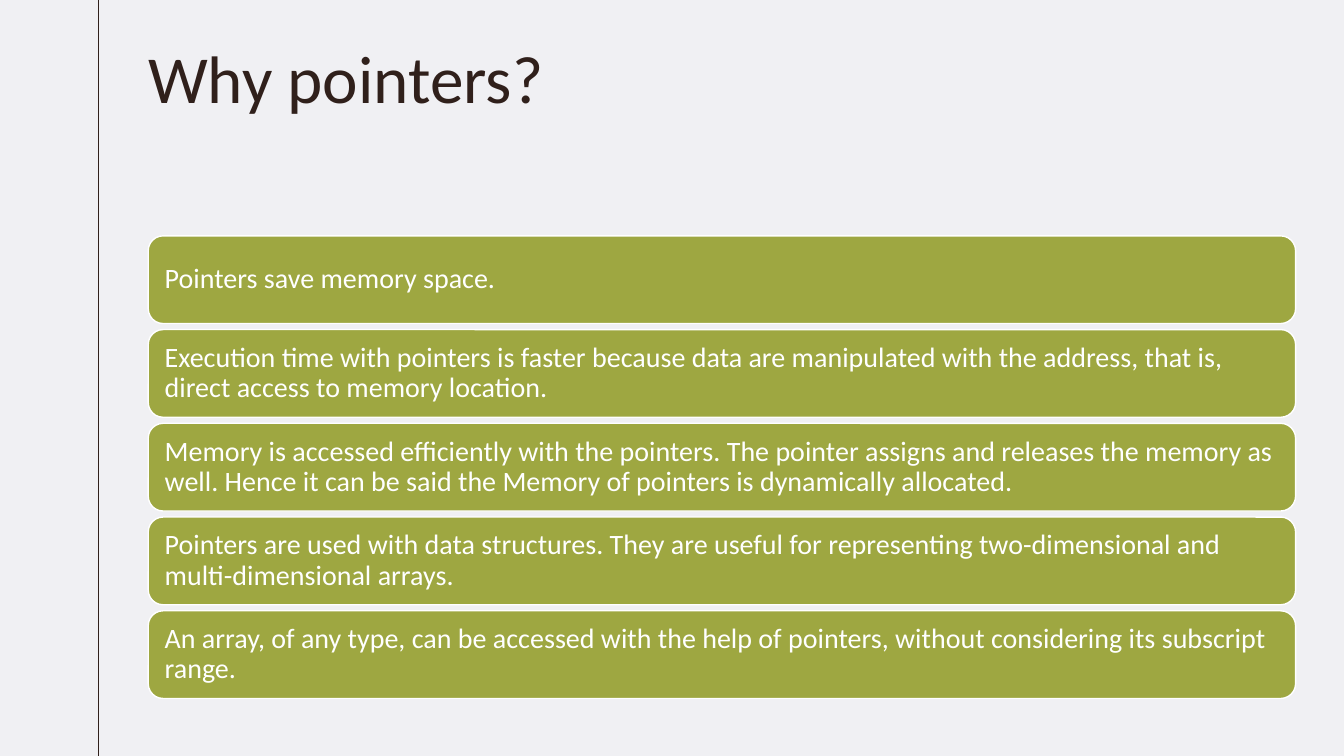
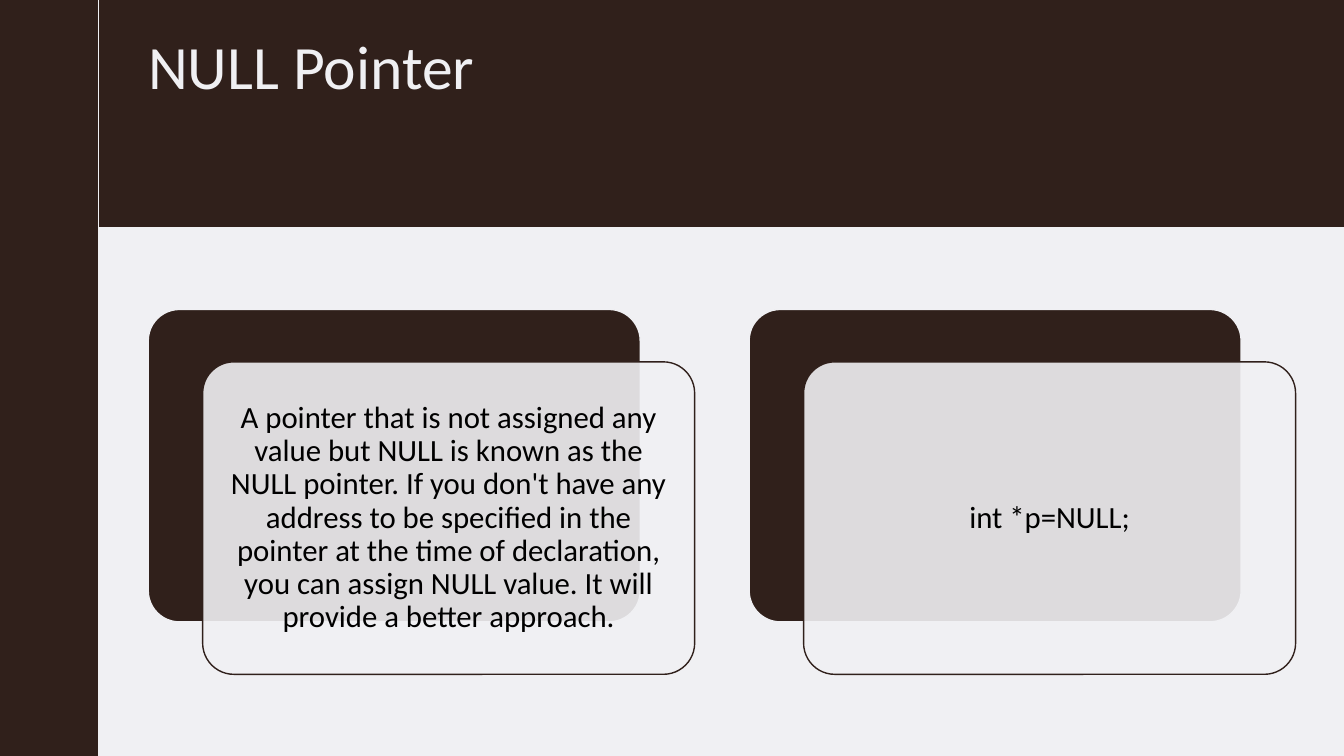
"""Build two slides on pointers: why they are used, and the NULL pointer."""
from dataclasses import dataclass

from lxml.etree import SubElement as Sub
from pptx import Presentation
from pptx.dml.color import RGBColor as Rgb
from pptx.enum.shapes import MSO_CONNECTOR as Conn, MSO_SHAPE as Kind
from pptx.enum.text import MSO_ANCHOR as Anchor, PP_ALIGN as Align
from pptx.oxml.ns import qn
from pptx.shapes.autoshape import Shape
from pptx.slide import Slide
from pptx.text.text import TextFrame as Frame
from pptx.util import Inches, Pt

HUES = {"dark": "30201B", "pale": "F0F0F3", "olive": "9EA741",
        "white": "FFFFFF", "black": "000000"}
FONT = "Calibri"
WIDE, HIGH = 13.33, 7.5
RAIL, LEFT, SPAN = 0.98, 1.47, 11.38


@dataclass(frozen=True)
class Box:
    """Hold a place on the slide in inches."""
    x: float
    y: float
    w: float
    h: float

    def spot(self) -> list[Inches]:
        """Give the four lengths in slide units."""
        return [Inches(n) for n in (self.x, self.y, self.w, self.h)]

    def shift(self, dx: float, dy: float) -> "Box":
        """Give the same box moved by an offset."""
        return Box(self.x + dx, self.y + dy, self.w, self.h)


@dataclass(frozen=True)
class Type:
    """Hold the look of a text."""
    size: int
    hue: str
    align: Align = Align.LEFT
    anchor: Anchor = Anchor.MIDDLE
    inset: float = 0
    lead: float = 0.9


@dataclass(frozen=True)
class Skin:
    """Hold the fill, outline and corner of a shape."""
    fill: str
    line: str | None = None
    curve: float | None = None
    alpha: int = 100


def tint(name: str) -> Rgb:
    """Look up a colour by name."""
    return Rgb.from_string(HUES[name])


def write(frame: Frame, text: str, style: Type) -> None:
    """Put one styled run in a text frame."""
    frame.word_wrap = True
    frame.vertical_anchor = style.anchor
    frame.margin_left = frame.margin_right = Inches(style.inset)
    frame.margin_top = frame.margin_bottom = Inches(style.inset)
    para = frame.paragraphs[0]
    para.alignment, para.line_spacing = style.align, style.lead
    run = para.add_run()
    run.text = text
    run.font.name, run.font.size = FONT, Pt(style.size)
    run.font.color.rgb = tint(style.hue)


def block(slide: Slide, box: Box, skin: Skin) -> Shape:
    """Draw a plain or rounded box."""
    kind = Kind.RECTANGLE if skin.curve is None else Kind.ROUNDED_RECTANGLE
    shape = slide.shapes.add_shape(kind, *box.spot())
    shape.shadow.inherit = False
    if skin.curve is not None:
        shape.adjustments[0] = skin.curve
    shape.fill.solid()
    shape.fill.fore_color.rgb = tint(skin.fill)
    if skin.alpha < 100:
        tone = shape.fill._xPr.find(qn("a:solidFill"))[0]
        Sub(tone, qn("a:alpha"), val=str(skin.alpha * 1000))
    if skin.line:
        shape.line.color.rgb = tint(skin.line)
        shape.line.width = Pt(1)
    else:
        shape.line.fill.background()
    return shape


def rule(slide: Slide, hue: str) -> None:
    """Draw the upright line beside the content."""
    line = slide.shapes.add_connector(
        Conn.STRAIGHT, Inches(RAIL), 0, Inches(RAIL), Inches(HIGH))
    line.line.color.rgb = tint(hue)
    line.line.width = Pt(0.75)
    Sub(line._element.spPr, qn("a:effectLst"))


def head(slide: Slide, text: str, style: Type) -> None:
    """Write the slide title."""
    box = Box(LEFT, 0.36, SPAN, 1.38)
    write(slide.shapes.add_textbox(*box.spot()).text_frame, text, style)


BAR = Skin("olive", "white", 0.17)
BACK = Skin("dark", "pale", 0.1)
CARD = Skin("pale", "dark", 0.1, 90)
BAND = Skin("dark")
ITEM = Type(20, "white", inset=0.12)
NOTE = Type(22, "black", Align.CENTER, inset=0.18)

WHYS = [
    "Pointers save memory space.",
    "Execution time with pointers is faster because data are manipulated "
    "with the address, that is, direct access to memory location.",
    "Memory is accessed efficiently with the pointers. The pointer assigns "
    "and releases the memory as well. Hence it can be said the Memory of "
    "pointers is dynamically allocated.",
    "Pointers are used with data structures. They are useful for "
    "representing two-dimensional and multi-dimensional arrays.",
    "An array, of any type, can be accessed with the help of pointers, "
    "without considering its subscript range.",
]
NULLS = [
    "A pointer that is not assigned any value but NULL is known as the NULL "
    "pointer. If you don't have any address to be specified in the pointer "
    "at the time of declaration, you can assign NULL value. It will provide "
    "a better approach.",
    "int *p=NULL;",
]


def reasons(slide: Slide) -> None:
    """Draw the stack of reasons to use pointers."""
    rule(slide, "dark")
    head(slide, "Why pointers?",
         Type(48, "dark", anchor=Anchor.TOP, lead=1.0))
    first = Box(LEFT, 2.34, SPAN, 0.87)
    for i, text in enumerate(WHYS):
        bar = block(slide, first.shift(0, i * 0.93), BAR)
        write(bar.text_frame, text, ITEM)


def null(slide: Slide) -> None:
    """Draw the NULL pointer cards under a dark band."""
    block(slide, Box(0, 0, RAIL, HIGH), BAND)
    block(slide, Box(RAIL, 0, WIDE - RAIL, 2.25), BAND)
    head(slide, "NULL Pointer", Type(44, "pale", anchor=Anchor.TOP))
    rule(slide, "pale")
    first = Box(LEFT, 3.07, 4.88, 3.1)
    for i, text in enumerate(NULLS):
        base = first.shift(i * 5.96, 0)
        block(slide, base, BACK)
        card = block(slide, base.shift(0.54, 0.52), CARD)
        write(card.text_frame, text, NOTE)


def main() -> None:
    """Build and save the deck."""
    deck = Presentation()
    deck.slide_width, deck.slide_height = Inches(WIDE), Inches(HIGH)
    ground = deck.slide_master.background.fill
    ground.solid()
    ground.fore_color.rgb = tint("pale")
    for draw in (reasons, null):
        draw(deck.slides.add_slide(deck.slide_layouts[6]))
    deck.save("out.pptx")


main()
